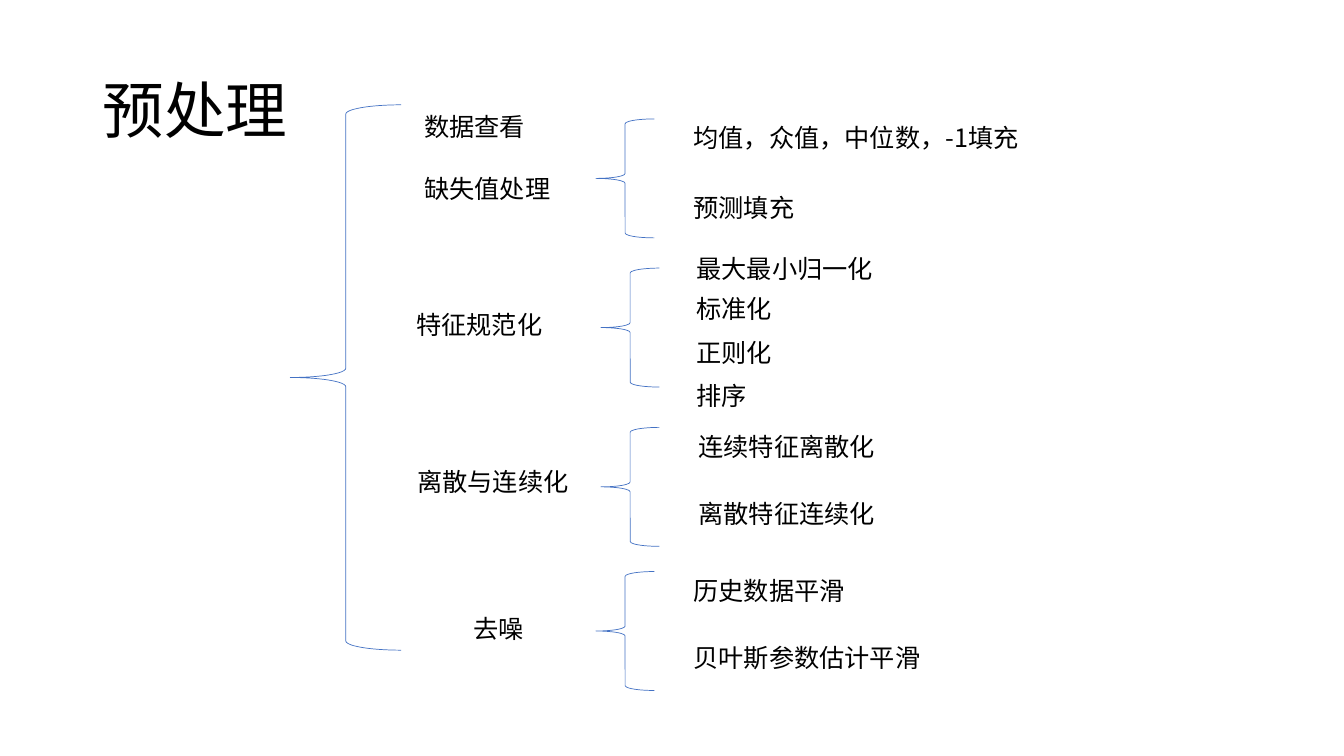
from dataclasses import dataclass

from lxml.etree import SubElement
from pptx import Presentation
from pptx.dml.color import RGBColor
from pptx.enum.shapes import MSO_SHAPE
from pptx.enum.text import MSO_ANCHOR
from pptx.oxml.ns import qn
from pptx.util import Emu, Pt

PX = 9144


@dataclass(frozen=True)
class Theme:
    """Hold the colours, font and type sizes of the slide."""
    font: str = "Noto Sans CJK SC"
    text: str = "000000"
    brace: str = "4472C4"
    background: str = "FFFFFF"
    title_size: int = 44
    label_size: int = 18
    brace_width: float = 0.5


THEME = Theme()
LABEL_H = 40
BRACE_W, BRACE_H = 58, 118

TOPICS = [("数据查看", 411, 106, 360), ("缺失值处理", 411, 167, 147),
          ("特征规范化", 403, 302, 147), ("离散与连续化", 404, 458, 180),
          ("去噪", 460, 604, 81)]

BRANCHES = [
    ((591, 118), (678, 438), [("均值，众值，中位数，-1填充", 116), ("预测填充", 186)]),
    ((596, 266), (681, 208), [("最大最小归一化", 246), ("标准化", 286),
                              ("正则化", 330), ("排序", 372)]),
    ((596, 424), (683, 208), [("连续特征离散化", 423), ("离散特征连续化", 489)]),
    ((591, 567), (678, 367), [("历史数据平滑", 566), ("贝叶斯参数估计平滑", 632)]),
]


def px(*lengths):
    """Turn px lengths into EMU."""
    return [Emu(n * PX) for n in lengths]


def add_text(s, text, box, size=THEME.label_size, anchor=MSO_ANCHOR.TOP, spacing=1.0):
    """Place one line of text in a box."""
    tf = s.shapes.add_textbox(*px(*box)).text_frame
    tf.word_wrap = True
    tf.vertical_anchor = anchor
    p = tf.paragraphs[0]
    p.line_spacing = spacing
    r = p.add_run()
    r.text = text
    r.font.size = Pt(size)
    r.font.color.rgb = RGBColor.from_string(THEME.text)
    r.font.name = THEME.font
    SubElement(r.font._element, qn("a:ea"), typeface=THEME.font)


def add_brace(s, box):
    """Draw an outlined left brace that fills the box."""
    sp = s.shapes.add_shape(MSO_SHAPE.LEFT_BRACE, *px(*box))
    sp.shadow.inherit = False
    sp.fill.background()
    sp.line.color.rgb = RGBColor.from_string(THEME.brace)
    sp.line.width = Pt(THEME.brace_width)


def add_topics(s, brace_box, topics):
    """Draw the main brace and the topics it gathers."""
    add_brace(s, brace_box)
    for text, x, y, w in topics:
        add_text(s, text, (x, y, w, LABEL_H))


def add_branch(s, corner, column, methods):
    """Draw a topic's brace and its column of methods."""
    add_brace(s, (*corner, BRACE_W, BRACE_H))
    x, w = column
    for text, y in methods:
        add_text(s, text, (x, y, w, LABEL_H))


def main():
    """Build and save the preprocessing slide."""
    prs = Presentation()
    prs.slide_width, prs.slide_height = px(1333, 750)
    s = prs.slides.add_slide(prs.slide_layouts[6])
    s.background.fill.solid()
    s.background.fill.fore_color.rgb = RGBColor.from_string(THEME.background)
    add_text(s, "预处理", (92, 40, 1150, 145), size=THEME.title_size,
             anchor=MSO_ANCHOR.MIDDLE, spacing=0.9)
    add_topics(s, (288, 104, 110, 541), TOPICS)
    for corner, column, methods in BRANCHES:
        add_branch(s, corner, column, methods)
    prs.save("out.pptx")


if __name__ == "__main__":
    main()
